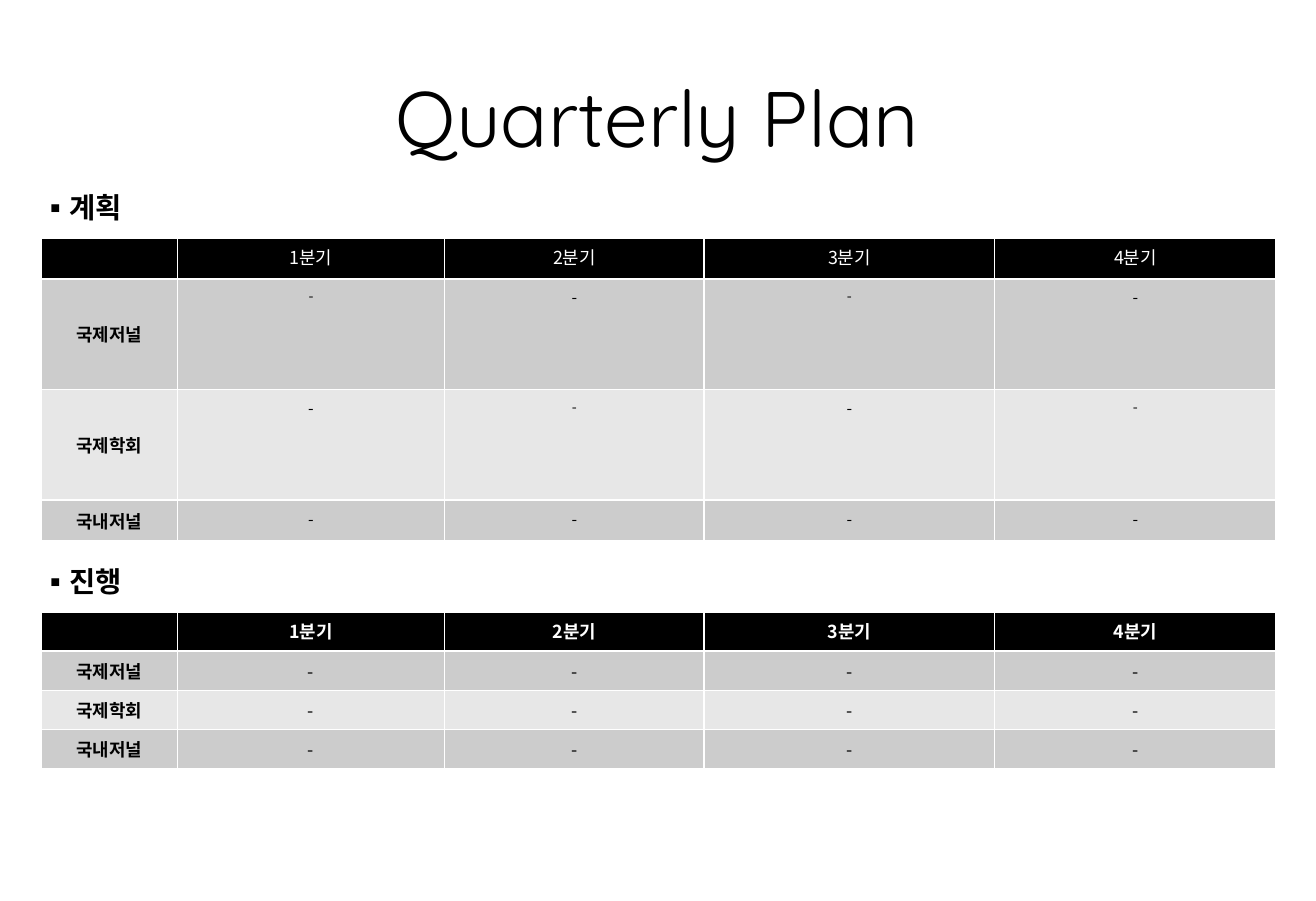
from lxml.etree import SubElement
from pptx import Presentation
from pptx.dml.color import RGBColor
from pptx.enum.text import MSO_ANCHOR as Anchor, PP_ALIGN as Align
from pptx.oxml.ns import qn
from pptx.util import Pt

TITLE_FONT, BODY_FONT = "Quicksand", "Noto Sans CJK KR"
BLACK, WHITE, DARK_GREY, LIGHT_GREY = "000000", "FFFFFF", "CCCCCC", "E7E7E7"
LEFT, WIDTH = 23.04, 691.92
COLUMN_SHARES = [1.06, 2.08, 2.02, 2.26, 2.19]
QUARTERS = ["1분기", "2분기", "3분기", "4분기"]
CATEGORIES = ["국제저널", "국제학회", "국내저널"]


def color(hex_value):
    return RGBColor.from_string(hex_value)


def add_run(paragraph, text, size, font=BODY_FONT, hex_value=BLACK, bold=False):
    run = paragraph.add_run()
    run.text = text
    run.font.size = Pt(size)
    run.font.bold = bold
    run.font.color.rgb = color(hex_value)
    run.font.name = font
    SubElement(run.font._element, qn("a:ea"), typeface=font)


def add_text_box(slide, box):
    """Add a wrapped, middle-anchored box without insets; return its paragraph."""
    frame = slide.shapes.add_textbox(*map(Pt, box)).text_frame
    frame.word_wrap = True
    frame.vertical_anchor = Anchor.MIDDLE
    frame.margin_left = frame.margin_right = frame.margin_top = frame.margin_bottom = 0
    return frame.paragraphs[0]


def add_title(slide, box, text):
    paragraph = add_text_box(slide, box)
    paragraph.alignment = Align.CENTER
    add_run(paragraph, text, 44, TITLE_FONT)


def add_heading(slide, box, text):
    paragraph = add_text_box(slide, box)
    properties = paragraph._p.get_or_add_pPr()
    indent = Pt(11.5)
    properties.set("marL", str(indent))
    properties.set("indent", str(-indent))
    SubElement(properties, qn("a:buFont"), typeface=BODY_FONT)
    SubElement(properties, qn("a:buChar"), char="▪")
    add_run(paragraph, text, 16, bold=True)


def style_cell(cell, fill):
    """White 1 pt borders on every side, then the fill."""
    properties = cell._tc.get_or_add_tcPr()
    for side in ("lnL", "lnR", "lnT", "lnB"):
        line = SubElement(properties, qn(f"a:{side}"), w=str(Pt(1)))
        SubElement(SubElement(line, qn("a:solidFill")), qn("a:srgbClr"), val=WHITE)
    cell.fill.solid()
    cell.fill.fore_color.rgb = color(fill)


def add_quarter_table(slide, box, row_heights, header_bold, dash_sizes):
    """Quarters across, categories down; dash_sizes holds one row per category."""
    left, top, width, height = box
    table = slide.shapes.add_table(len(row_heights), len(COLUMN_SHARES),
                                   *map(Pt, box)).table
    for column, share in zip(table.columns, COLUMN_SHARES):
        column.width = Pt(width * share / sum(COLUMN_SHARES))
    for row, row_height in zip(table.rows, row_heights):
        row.height = Pt(row_height)

    # Header row, with an empty corner kept at the header's text size
    for index, quarter in enumerate([""] + QUARTERS):
        cell = table.cell(0, index)
        style_cell(cell, BLACK)
        paragraph = cell.text_frame.paragraphs[0]
        paragraph.alignment = Align.CENTER
        if quarter:
            add_run(paragraph, quarter, 10, hex_value=WHITE, bold=header_bold)
        else:
            SubElement(paragraph._p, qn("a:endParaRPr"), sz="1000")

    # Category rows in alternating greys
    for row_index, (category, sizes) in enumerate(zip(CATEGORIES, dash_sizes), 1):
        fill = DARK_GREY if row_index % 2 else LIGHT_GREY
        texts = [(category, 10)] + [("-", size) for size in sizes]
        for index, (text, size) in enumerate(texts):
            cell = table.cell(row_index, index)
            style_cell(cell, fill)
            is_label = index == 0
            if is_label:
                cell.vertical_anchor = Anchor.MIDDLE
            paragraph = cell.text_frame.paragraphs[0]
            paragraph.alignment = Align.CENTER
            add_run(paragraph, text, size, bold=is_label)


def add_section(slide, box, heading, row_heights, header_bold, dash_sizes):
    """A bulleted heading with its table below."""
    left, top, width = box
    add_heading(slide, (left, top, width, 22.3), heading)
    add_quarter_table(slide, (left, top + 28.1, width, sum(row_heights)),
                      row_heights, header_bold, dash_sizes)


presentation = Presentation()
presentation.slide_width, presentation.slide_height = Pt(737.28), Pt(504.72)
slide = presentation.slides.add_slide(presentation.slide_layouts[6])

add_title(slide, (28.08, 25.2, 680.4, 79.2), "Quarterly Plan")
# Plan
add_section(slide, (LEFT, 105.1, WIDTH), "계획", [23, 62, 62, 23], False,
            [[8, 9, 8, 9], [9, 8, 9, 8], [9] * 4])
# Progress
add_section(slide, (LEFT, 314.6, WIDTH), "진행", [22] * 4, True, [[10] * 4] * 3)

presentation.save("out.pptx")
